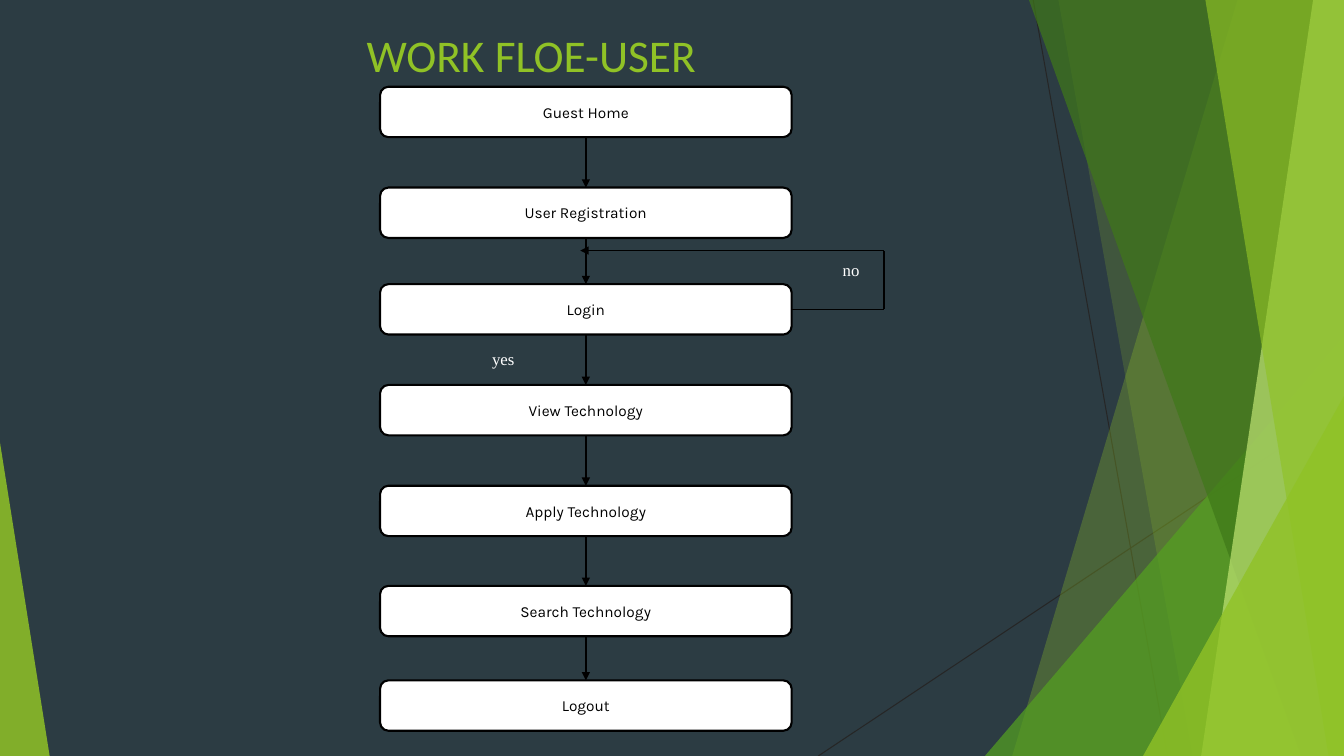
from dataclasses import dataclass
from itertools import pairwise

from lxml.etree import SubElement
from pptx import Presentation
from pptx.dml.color import RGBColor
from pptx.enum.shapes import MSO_CONNECTOR as Link, MSO_SHAPE as Shape
from pptx.enum.text import MSO_ANCHOR as Anchor, MSO_AUTO_SIZE as Fit, PP_ALIGN as Align
from pptx.oxml.ns import qn
from pptx.util import Pt


@dataclass(frozen=True)
class Theme:
    """Colours, fonts and type sizes of the deck."""
    night: str = "2C3C43"
    lime: str = "90C226"
    green: str = "54A021"
    forest: str = "3F7819"
    pale: str = "C0E474"
    thread: str = "262626"
    ink: str = "000000"
    paper: str = "FFFFFF"
    title_font: str = "Calibri"
    step_font: str = "Karla"
    label_font: str = "Times New Roman"
    title_size: float = 32.4
    step_size: float = 11
    label_size: float = 12


THEME = Theme()
WIDTH, HEIGHT = 960, 540
STEPS = [
    ("Guest Home", 0), ("User Registration", 72), ("Login", 141),
    ("View Technology", 213), ("Apply Technology", 285),
    ("Search Technology", 356.5), ("Logout", 424),
]


def paint(shape, color, opacity=100):
    """Give a shape a flat fill without outline or shadow."""
    shape.shadow.inherit = False
    shape.line.fill.background()
    shape.fill.solid()
    shape.fill.fore_color.rgb = RGBColor.from_string(color)
    if opacity < 100:
        tint = shape.fill._xPr.find(qn("a:solidFill"))[0]
        SubElement(tint, qn("a:alpha"), val=str(opacity * 1000))


def write(shape, text, font, size, color, align=Align.CENTER):
    """Put one vertically centred paragraph into a shape."""
    frame = shape.text_frame
    frame.word_wrap = True
    frame.auto_size = Fit.NONE
    frame.vertical_anchor = Anchor.MIDDLE
    para = frame.paragraphs[0]
    para.text = text
    para.alignment = align
    para.font.name = font
    para.font.size = Pt(size)
    para.font.color.rgb = RGBColor.from_string(color)
    return para


def draw_line(page, start, end, color, weight, arrow=False):
    """Draw a straight line, with an arrowhead at its end if asked."""
    line = page.shapes.add_connector(Link.STRAIGHT, *map(Pt, (*start, *end)))
    line.line.color.rgb = RGBColor.from_string(color)
    line.line.width = Pt(weight)
    if arrow:
        SubElement(line.line._get_or_add_ln(), qn("a:tailEnd"), type="triangle")
    SubElement(line._element.spPr, qn("a:effectLst"))
    return line


def draw_band(page, top, bottom, color, opacity):
    """Fill the slide to the right of a slanted edge."""
    builder = page.shapes.build_freeform(Pt(top), 0, scale=1.0)
    corners = [(WIDTH, 0), (WIDTH, HEIGHT), (bottom, HEIGHT)]
    builder.add_line_segments([(Pt(x), Pt(y)) for x, y in corners], close=True)
    paint(builder.convert_to_shape(), color, opacity)


def draw_corner(page, left, width, height, apex, color, opacity):
    """Stand a right triangle on the bottom edge of the slide."""
    corner = page.shapes.add_shape(
        Shape.ISOSCELES_TRIANGLE, *map(Pt, (left, HEIGHT - height, width, height)))
    corner.adjustments[0] = apex
    paint(corner, color, opacity)


def draw_backdrop(page):
    """Lay the dark background and the translucent green facets."""
    page.background.fill.solid()
    page.background.fill.fore_color.rgb = RGBColor.from_string(THEME.night)
    draw_line(page, (738, 0), (834, HEIGHT), THEME.thread, 0.75)
    draw_line(page, (WIDTH, 290), (584.5, HEIGHT), THEME.thread, 0.75)
    draw_band(page, 884, 723, THEME.lime, 30)
    draw_band(page, 756, 852, THEME.lime, 20)
    draw_corner(page, 703.5, 256.5, 300, 1, THEME.green, 72)
    draw_band(page, 735, 929.5, THEME.forest, 70)
    draw_band(page, 938, 858, THEME.pale, 70)
    draw_band(page, 861, 949, THEME.lime, 65)
    draw_corner(page, 816.5, 143.5, 257, 1, THEME.lime, 80)
    draw_corner(page, 0, 35.5, 224, 0, THEME.lime, 85)


def draw_title(page, left, top, width, height):
    """Place and format the title placeholder."""
    title = page.shapes.title
    title.left, title.top, title.width, title.height = map(Pt, (left, top, width, height))
    write(title, "WORK FLOE-USER", THEME.title_font, THEME.title_size, THEME.lime)


def draw_step(page, text, left, top, width, height):
    """Draw one rounded step of the workflow."""
    step = page.shapes.add_shape(
        Shape.FLOWCHART_ALTERNATE_PROCESS, *map(Pt, (left, top, width, height)))
    paint(step, THEME.paper)
    step.line.color.rgb = RGBColor.from_string(THEME.ink)
    step.line.width = Pt(1.5)
    write(step, text, THEME.step_font, THEME.step_size, THEME.ink)
    return step


def draw_label(page, text, left, middle):
    """Write a branch label starting at a point."""
    label = page.shapes.add_textbox(Pt(left), Pt(middle - 10), Pt(30), Pt(20))
    frame = label.text_frame
    frame.margin_left = frame.margin_right = frame.margin_top = frame.margin_bottom = 0
    write(label, text, THEME.label_font, THEME.label_size, THEME.paper, Align.LEFT)


def draw_workflow(page, left, top, width, height):
    """Stack the steps, chain them with arrows and loop back to login."""
    boxes = [draw_step(page, text, left, top + drop, width, height) for text, drop in STEPS]
    center, right = left + width / 2, left + width
    for (upper, lower), ((_, above), (_, below)) in zip(pairwise(boxes), pairwise(STEPS)):
        arrow = draw_line(page, (center, top + above + height), (center, top + below),
                          THEME.ink, 1, arrow=True)
        arrow.begin_connect(upper, 2)
        arrow.end_connect(lower, 0)

    login_middle = top + STEPS[2][1] + height / 2
    loop_x, loop_y = right + 66, login_middle - 42
    branch = draw_line(page, (right, login_middle), (loop_x, login_middle), THEME.ink, 1)
    branch.begin_connect(boxes[2], 3)
    draw_line(page, (loop_x, login_middle), (loop_x, loop_y), THEME.ink, 1)
    draw_line(page, (loop_x, loop_y), (center - 4, loop_y), THEME.ink, 1, arrow=True)
    draw_label(page, "no", loop_x - 29.5, login_middle - 28)
    draw_label(page, "yes", center - 67, login_middle + 35)


def main():
    """Build the workflow slide and save the deck."""
    deck = Presentation()
    deck.slide_width, deck.slide_height = Pt(WIDTH), Pt(HEIGHT)
    page = deck.slides.add_slide(deck.slide_layouts[5])
    draw_backdrop(page)
    draw_title(page, 41, 16, 677, 45)
    draw_workflow(page, 271.5, 62, 294, 36)
    deck.save("out.pptx")


if __name__ == "__main__":
    main()
